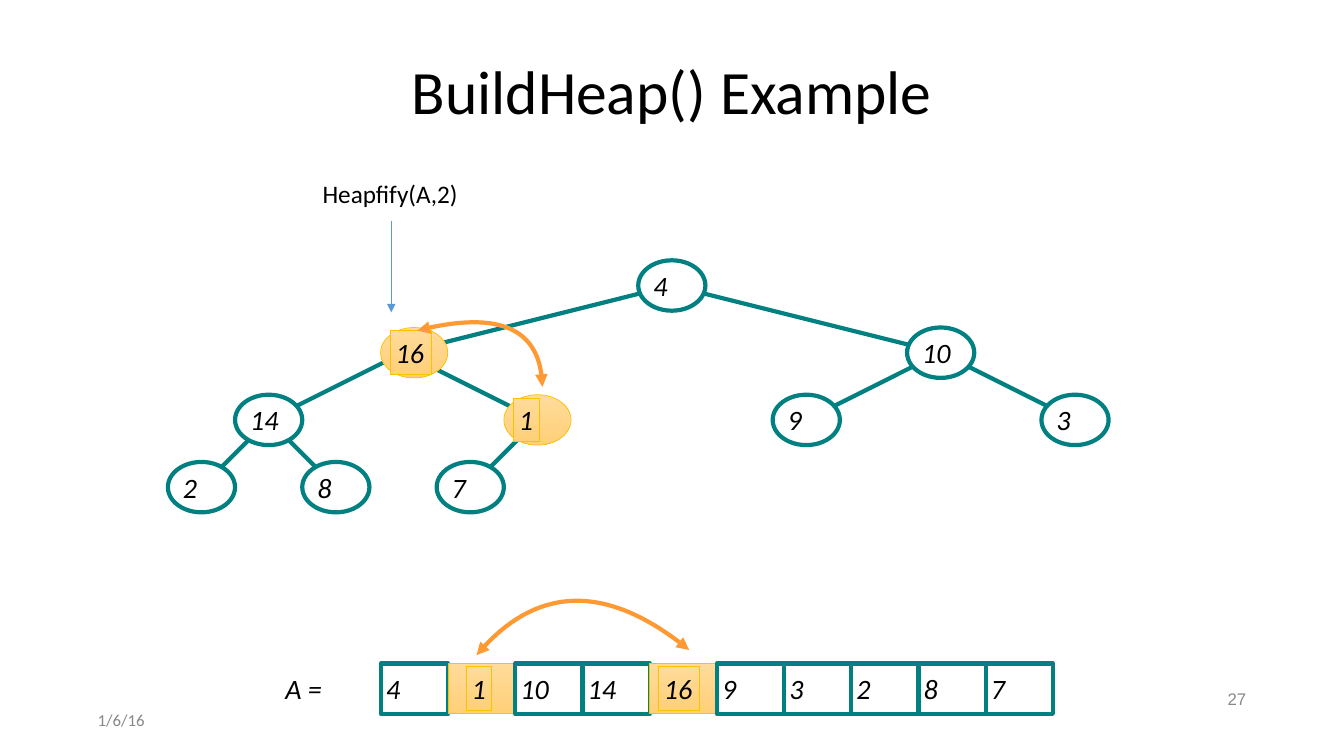
from dataclasses import dataclass
from math import hypot

from pptx import Presentation
from pptx.dml.color import RGBColor
from pptx.enum.shapes import MSO_CONNECTOR, MSO_SHAPE
from pptx.enum.text import MSO_ANCHOR, MSO_AUTO_SIZE, PP_ALIGN
from pptx.oxml.xmlchemy import OxmlElement
from pptx.util import Cm, Pt


@dataclass(frozen=True)
class Theme:
    ink: str = "000000"
    muted: str = "888888"
    paper: str = "FFFFFF"
    teal: str = "008080"
    gold: str = "FFC000"
    gold_top: str = "FFDB9B"
    gold_bottom: str = "FFD078"
    swap: str = "FF9933"
    pointer: str = "5B9BD5"
    font: str = "Calibri"
    number_font: str = "Arial"
    title_size: int = 44
    value_size: int = 20
    call_size: int = 18
    footer_size: int = 12
    heavy: float = 3
    light: float = 1
    hairline: float = 0.5


@dataclass(frozen=True)
class Box:
    left: float
    top: float
    width: float
    height: float

    def inside(self, x, y, width, height):
        return Box(self.left + x, self.top + y, width, height)

    def lengths(self):
        return Cm(self.left), Cm(self.top), Cm(self.width), Cm(self.height)


THEME = Theme()
CELL_W, CELL_H = 33.87 / 20, 1.27
TREE = [4, 16, 10, 14, 1, 9, 3, 2, 8, 7]
ARRAY = [4, 1, 10, 14, 16, 9, 3, 2, 8, 7]
SWAPPED = (2, 5)
LAST_LEVEL = 3


# Shared helpers
def colour(value):
    return RGBColor.from_string(value)


def write(shape, text, size, ink=THEME.ink, font=THEME.font, italic=False,
          align=PP_ALIGN.LEFT, anchor=MSO_ANCHOR.MIDDLE, grow=True, spacing=None):
    frame = shape.text_frame
    frame.word_wrap = not grow
    frame.auto_size = MSO_AUTO_SIZE.SHAPE_TO_FIT_TEXT if grow else MSO_AUTO_SIZE.NONE
    frame.vertical_anchor = anchor
    frame.margin_left = frame.margin_right = Cm(0.13)
    frame.margin_top = frame.margin_bottom = Cm(0.13)
    para = frame.paragraphs[0]
    para.alignment = align
    if spacing:
        para.line_spacing = spacing
    span = para.add_run()
    span.text = text
    span.font.name, span.font.size, span.font.italic = font, Pt(size), italic
    span.font.color.rgb = colour(ink)


def stroke(shape, ink, width, ends=()):
    shape.line.color.rgb = colour(ink)
    shape.line.width = Pt(width)
    for end in ends:
        arrow = OxmlElement(f"a:{end}")
        arrow.set("type", "triangle")
        shape.line._get_or_add_ln().append(arrow)


def add_panel(page, kind, box, lit):
    panel = page.shapes.add_shape(kind, *box.lengths())
    panel.shadow.inherit = False
    if lit:
        panel.fill.gradient()
        panel.fill.gradient_angle = 270
        for stop, tint in zip(panel.fill.gradient_stops, (THEME.gold_top, THEME.gold_bottom)):
            stop.color.rgb = colour(tint)
        stroke(panel, THEME.gold, THEME.hairline)
    else:
        panel.fill.solid()
        panel.fill.fore_color.rgb = colour(THEME.paper)
        stroke(panel, THEME.teal, THEME.heavy)
    return panel


def add_value(page, kind, box, value, indent, lit):
    """One heap value: its outline and its label."""
    add_panel(page, kind, box, lit)
    text = str(value)
    label_box = box.inside(indent, 0.08, 0.64 if len(text) == 1 else 1.02, 1.1)
    if lit:
        label = add_panel(page, MSO_SHAPE.RECTANGLE, label_box, lit)
    else:
        label = page.shapes.add_textbox(*label_box.lengths())
    write(label, text, THEME.value_size, italic=True)


def add_line(page, start, end, ink, width, ends=()):
    line = page.shapes.add_connector(MSO_CONNECTOR.STRAIGHT, *map(Cm, (*start, *end)))
    stroke(line, ink, width, ends)
    line._element.spPr.append(OxmlElement("a:effectLst"))


def add_swap_arrow(page, box, controls, steps=32):
    """Double-headed cubic curve through four control points."""
    points = []
    for step in range(steps + 1):
        t = step / steps
        weights = ((1 - t) ** 3, 3 * t * (1 - t) ** 2, 3 * t * t * (1 - t), t ** 3)
        x, y = (sum(w * c for w, c in zip(weights, axis)) for axis in zip(*controls))
        points.append((Cm(box.left + x), Cm(box.top + y)))
    builder = page.shapes.build_freeform(*points[0])
    builder.add_line_segments(points[1:], close=False)
    curve = builder.convert_to_shape()
    curve.shadow.inherit = False
    curve.fill.background()
    stroke(curve, THEME.swap, THEME.heavy, ("headEnd", "tailEnd"))


# Title and footer
def add_title(page, box):
    title = page.shapes.title
    title.left, title.top, title.width, title.height = box.lengths()
    write(title, "BuildHeap() Example", THEME.title_size,
          align=PP_ALIGN.CENTER, grow=False, spacing=0.9)


def add_footer(page, box):
    date = page.shapes.add_textbox(*box.inside(0, 0.51, 7.62, 0.74).lengths())
    write(date, "1/6/16", THEME.footer_size, THEME.muted, grow=False)
    number = page.shapes.add_textbox(*box.inside(box.width - 7.62, 0, 7.62, 0.74).lengths())
    write(number, "27", THEME.footer_size, THEME.muted, THEME.number_font,
          align=PP_ALIGN.RIGHT, grow=False, spacing=0.9)


# Call with its pointer
def add_call(page, box):
    call = page.shapes.add_textbox(*box.inside(0, 0, box.width, 1.04).lengths())
    write(call, "Heapfify(A,2)", THEME.call_size, anchor=MSO_ANCHOR.TOP)
    x = box.left + 1.86
    add_line(page, (x, box.top + 1.19), (x, box.top + box.height),
             THEME.pointer, THEME.light, ("tailEnd",))


# Heap tree
def node_box(box, index):
    level = index.bit_length() - 1
    place = index - 2 ** level
    column = (2 * place + 1) * 2 ** (LAST_LEVEL - level) - 1
    return box.inside(column * CELL_W, level * CELL_W, CELL_W, CELL_H)


def edge_end(box, index, other):
    """Point where the edge to another node leaves this node."""
    here, there = node_box(box, index), node_box(box, other)
    dx, dy = there.left - here.left, there.top - here.top
    reach = 0 if index in SWAPPED else 1 / hypot(2 * dx / CELL_W, 2 * dy / CELL_H)
    return here.left + CELL_W / 2 + dx * reach, here.top + CELL_H / 2 + dy * reach


def add_tree(page, box):
    for child in range(2, len(TREE) + 1):
        parent = child // 2
        add_line(page, edge_end(box, parent, child), edge_end(box, child, parent),
                 THEME.teal, THEME.heavy)
    for index, value in enumerate(TREE, 1):
        shift = 0.28 if index == 2 else 0
        spot = node_box(box, index).inside(shift, 0, CELL_W, CELL_H)
        add_value(page, MSO_SHAPE.OVAL, spot, value, 0.25, index in SWAPPED)
    add_swap_arrow(page, box, [(6.29, 1.77), (8.37, 1.24), (9.41, 1.72), (9.44, 3.19)])


# Heap array
def add_array(page, box):
    name = page.shapes.add_textbox(*box.inside(0, 0.08, 1.22, 1.1).lengths())
    write(name, "A =", THEME.value_size, italic=True)
    indents = dict(zip(SWAPPED, (0.46, 0.23)))
    for index, value in enumerate(ARRAY, 1):
        cell = box.inside(2.54 + (index - 1) * CELL_W, 0, CELL_W, CELL_H)
        add_value(page, MSO_SHAPE.RECTANGLE, cell, value, indents.get(index, 0), index in SWAPPED)
    add_swap_arrow(page, box, [(4.95, -0.21), (6.45, -1.99), (8.23, -2.04), (10.31, -0.34)])


def main():
    deck = Presentation()
    deck.slide_width, deck.slide_height = Cm(33.87), Cm(19.05)
    page = deck.slides.add_slide(deck.slide_layouts[5])
    add_title(page, Box(2.33, 1.01, 29.21, 2.72))
    add_footer(page, Box(2.33, 17.27, 29.21, 1.25))
    add_tree(page, Box(4.23, 6.56, 23.7, 6.35))
    add_array(page, Box(7.06, 16.72, 19.47, CELL_H))
    add_call(page, Box(8, 4.37, 3.68, 3.5))
    deck.save("out.pptx")


if __name__ == "__main__":
    main()
